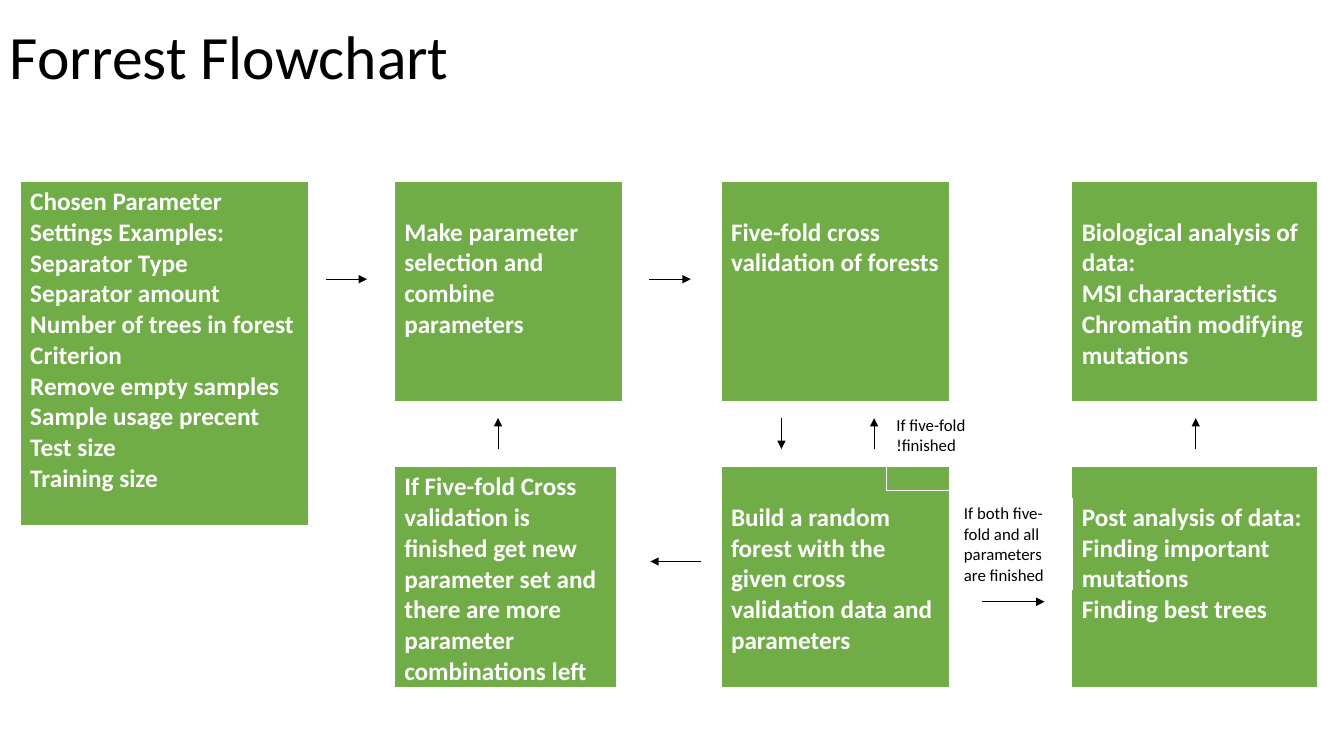
from dataclasses import dataclass

from lxml.etree import SubElement
from pptx import Presentation
from pptx.dml.color import RGBColor
from pptx.enum.shapes import MSO_CONNECTOR
from pptx.enum.text import MSO_ANCHOR
from pptx.oxml import parse_xml
from pptx.oxml.ns import nsdecls, qn
from pptx.util import Inches, Pt


@dataclass(frozen=True)
class Theme:
    font: str = "Calibri"
    ink: str = "000000"
    paper: str = "FFFFFF"
    step_fill: str = "70AD47"
    title_size: float = 44
    step_size: float = 18
    note_size: float = 12
    arrow_width: float = 0.5
    # Border widths by side, in the order that a cell lists them
    borders: tuple = (("L", 1), ("R", 1), ("T", 1), ("B", 3))


def write_text(frame, text, *, font, size, color, bold=False, line_spacing=None):
    """Fill a text frame, one paragraph for each line of text."""
    frame.word_wrap = True
    for index, line in enumerate(text.split("\n")):
        paragraph = frame.add_paragraph() if index else frame.paragraphs[0]
        paragraph.line_spacing = line_spacing
        run = paragraph.add_run()
        run.text = line
        run.font.name = font
        run.font.size = Pt(size)
        run.font.bold = bold
        run.font.color.rgb = RGBColor.from_string(color)


class FlowchartSlide:
    """Places elements by percent of the slide's width and height."""

    def __init__(self, presentation, theme):
        self.theme = theme
        self.width = presentation.slide_width
        self.height = presentation.slide_height
        self.slide = presentation.slides.add_slide(presentation.slide_layouts[6])

    def place(self, *shares):
        """Turn x, y pairs of percentages into lengths."""
        sides = (self.width, self.height) * (len(shares) // 2)
        return [round(side * share / 100) for side, share in zip(sides, shares)]

    def title(self, text, *area):
        frame = self.slide.shapes.add_textbox(*self.place(*area)).text_frame
        frame.vertical_anchor = MSO_ANCHOR.MIDDLE
        write_text(frame, text, font=self.theme.font, size=self.theme.title_size,
                   color=self.theme.ink, line_spacing=0.9)

    def cell(self, *area):
        """Add a plain table of one cell and return that cell."""
        table = self.slide.shapes.add_table(1, 1, *self.place(*area)).table
        table.first_row = False
        table.horz_banding = False
        return table.cell(0, 0)

    def step(self, text, *area, lowered=True):
        cell = self.cell(*area)
        cell.fill.solid()
        cell.fill.fore_color.rgb = RGBColor.from_string(self.theme.step_fill)
        if lowered:  # the text starts one line further down
            cell.margin_top = Inches(0.05) + Pt(self.theme.step_size * 1.22)
        self.border(cell)
        write_text(cell.text_frame, text, font=self.theme.font,
                   size=self.theme.step_size, color=self.theme.paper, bold=True)

    def border(self, cell):
        properties = cell._tc.get_or_add_tcPr()
        for index, (side, width) in enumerate(self.theme.borders):
            properties.insert(index, parse_xml(
                f'<a:ln{side} {nsdecls("a")} w="{Pt(width)}"><a:solidFill>'
                f'<a:srgbClr val="{self.theme.paper}"/></a:solidFill></a:ln{side}>'))

    def note(self, text, *area):
        cell = self.cell(*area)
        cell.fill.background()
        write_text(cell.text_frame, text, font=self.theme.font,
                   size=self.theme.note_size, color=self.theme.ink)

    def arrow(self, *ends):
        connector = self.slide.shapes.add_connector(
            MSO_CONNECTOR.STRAIGHT, *self.place(*ends))
        connector.line.width = Pt(self.theme.arrow_width)
        connector.line.color.rgb = RGBColor.from_string(self.theme.ink)
        SubElement(connector.line._get_or_add_ln(), qn("a:tailEnd"), type="triangle")
        SubElement(connector._element.spPr, qn("a:effectLst"))


# Grid of the flowchart, in percent of the slide
SETTINGS, SELECTION, FOREST, ANALYSIS = 1.5, 29.33, 53.64, 79.74
UPPER, LOWER = 24, 61.73
STEP_WIDTH, WIDE, STEP_HEIGHT = 17.03, 18.3, 29.33
GAP_TOP, GAP_BOTTOM = 55.3, 59.4
UPPER_ARROW = 36.93


def main():
    presentation = Presentation()
    presentation.slide_width = Inches(13.33)
    presentation.slide_height = Inches(7.5)
    flowchart = FlowchartSlide(presentation, Theme())

    flowchart.title("Forrest Flowchart", 0, 0, 86.25, 15.87)

    # Steps whose text starts at the top of the box
    flowchart.step(
        "Chosen Parameter Settings Examples:\nSeparator Type\nSeparator amount\n"
        "Number of trees in forest\nCriterion\nRemove empty samples\n"
        "Sample usage precent\nTest size\nTraining size",
        SETTINGS, UPPER, 21.46, 45.73, lowered=False)
    flowchart.step(
        "If Five-fold Cross validation is finished get new parameter set and "
        "there are more parameter combinations left",
        SELECTION, LOWER, 16.58, STEP_HEIGHT, lowered=False)

    # Steps whose text starts on the second line
    for text, left, top, width in (
        ("Make parameter selection and combine parameters",
         SELECTION, UPPER, STEP_WIDTH),
        ("Five-fold cross validation of forests", FOREST, UPPER, STEP_WIDTH),
        ("Build a random forest with the given cross validation data and parameters",
         FOREST, LOWER, STEP_WIDTH),
        ("Biological analysis of data:\nMSI characteristics\n"
         "Chromatin modifying mutations", ANALYSIS, UPPER, WIDE),
        ("Post analysis of data:\nFinding important mutations\nFinding best trees",
         ANALYSIS, LOWER, WIDE),
    ):
        flowchart.step(text, left, top, width, STEP_HEIGHT)

    # Arrows along the rows
    for start, end, level in (
        (24.23, 27.31, UPPER_ARROW),
        (48.31, 51.39, UPPER_ARROW),
        (52.14, 48.39, 74.27),
        (73.07, 77.72, 79.6),
    ):
        flowchart.arrow(start, level, end, level)

    # Arrows between the rows: one down, three up
    flowchart.arrow(58.14, GAP_TOP, 58.14, GAP_BOTTOM)
    for position in (37.06, 65.04, 88.97):
        flowchart.arrow(position, GAP_BOTTOM, position, GAP_TOP)

    # Conditions beside the arrows
    flowchart.note("If five-fold !finished", 65.94, 54.27, 6.9, 10.67)
    flowchart.note("If both five-fold and all parameters are finished",
                   70.97, 66, 8.85, 12)

    presentation.save("out.pptx")


if __name__ == "__main__":
    main()
